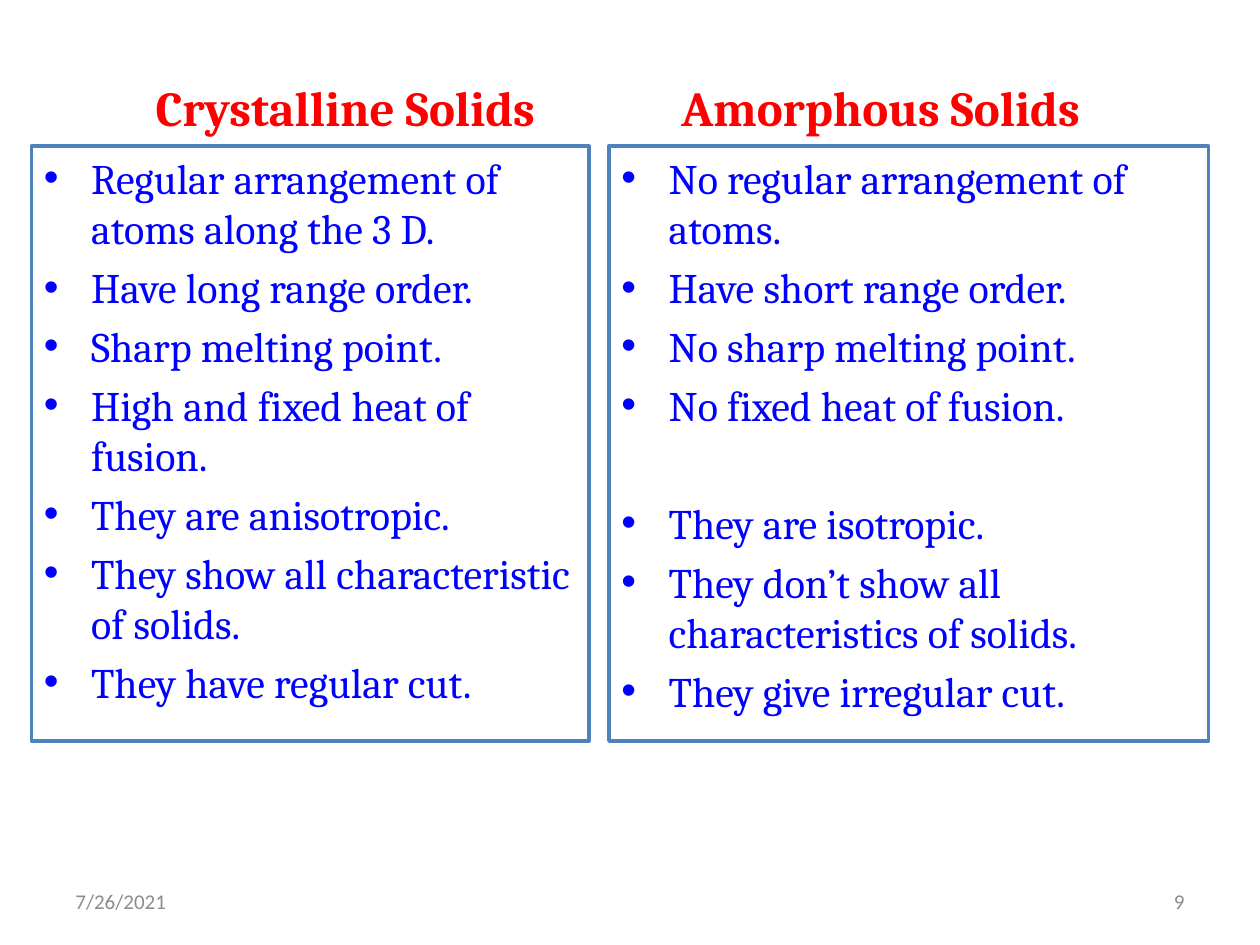
import pptx
import pptx.util
import pptx.dml.color
import pptx.enum.shapes
import pptx.enum.text
import pptx.oxml.xmlchemy

Pt = pptx.util.Pt
Align = pptx.enum.text.PP_ALIGN
Anchor = pptx.enum.text.MSO_ANCHOR

THEME = {
    "heading": {"font": "Cambria", "size": 28, "color": "FF0000", "bold": True},
    "body": {"font": "Cambria", "size": 24, "color": "0000FF", "bold": False},
    "footer": {"font": "Calibri", "size": 12, "color": "8C8C8C", "bold": False},
    "panel_fill": "FFFFFF",
    "panel_line": "4F81BD",
    "panel_line_width": 2,
}

COLUMNS = [
    {
        "heading": "Crystalline Solids",
        "heading_left": 55.5, "heading_width": 283.5,
        "left": 18, "width": 318.5,
        "points": [
            "Regular arrangement of atoms along the 3 D.",
            "Have long range order.",
            "Sharp melting point.",
            "High and fixed heat of fusion.",
            "They are anisotropic.",
            "They show all characteristic of solids.",
            "They have regular cut.",
        ],
        "gap_before": None,
    },
    {
        "heading": "Amorphous Solids",
        "heading_left": 358.5, "heading_width": 289.5,
        "left": 348, "width": 342.5,
        "points": [
            "No regular arrangement of atoms.",
            "Have short range order.",
            "No sharp melting point.",
            "No fixed heat of fusion.",
            "They are isotropic.",
            "They don’t show all characteristics of solids.",
            "They give irregular cut.",
        ],
        "gap_before": "They are isotropic.",
    },
]
FOOTERS = [("7/26/2021", 36, Align.LEFT), ("9", 516, Align.RIGHT)]

HEADING_TOP, HEADING_HEIGHT = 41, 37
PANEL_TOP, PANEL_HEIGHT = 83.5, 340
FOOTER_TOP, FOOTER_WIDTH, FOOTER_HEIGHT = 500.5, 168, 28.75
BULLET_INDENT = 27
POINT_SPACE = 4.8
SKIPPED_LINE = 34


def rgb(value):
    return pptx.dml.color.RGBColor.from_string(value)


def style(paragraph, role):
    look = THEME[role]
    for run in paragraph.runs:
        run.font.name = look["font"]
        run.font.size = Pt(look["size"])
        run.font.bold = look["bold"]
        run.font.color.rgb = rgb(look["color"])


def add_label(slide, text, left, top, width, height, role, align, anchor):
    shape = slide.shapes.add_textbox(Pt(left), Pt(top), Pt(width), Pt(height))
    text_frame = shape.text_frame
    text_frame.word_wrap = True
    text_frame.vertical_anchor = anchor
    text_frame.text = text
    paragraph = text_frame.paragraphs[0]
    paragraph.alignment = align
    style(paragraph, role)


def add_bullet(paragraph):
    properties = paragraph._p.get_or_add_pPr()
    properties.set("marL", str(int(Pt(BULLET_INDENT))))
    properties.set("indent", str(-int(Pt(BULLET_INDENT))))
    for tag, name, value in (("a:buFont", "typeface", "Arial"), ("a:buChar", "char", "•")):
        element = pptx.oxml.xmlchemy.OxmlElement(tag)
        element.set(name, value)
        properties.append(element)


def add_panel(slide, column):
    shape = slide.shapes.add_shape(
        pptx.enum.shapes.MSO_SHAPE.RECTANGLE,
        Pt(column["left"]), Pt(PANEL_TOP), Pt(column["width"]), Pt(PANEL_HEIGHT),
    )
    shape.shadow.inherit = False
    shape.fill.solid()
    shape.fill.fore_color.rgb = rgb(THEME["panel_fill"])
    shape.line.color.rgb = rgb(THEME["panel_line"])
    shape.line.width = Pt(THEME["panel_line_width"])
    text_frame = shape.text_frame
    text_frame.word_wrap = True
    text_frame.vertical_anchor = Anchor.TOP
    text_frame.text = "\n".join(column["points"])
    for index, paragraph in enumerate(text_frame.paragraphs):
        add_bullet(paragraph)
        paragraph.alignment = Align.LEFT
        if index:
            skipped = SKIPPED_LINE if paragraph.text == column["gap_before"] else 0
            paragraph.space_before = Pt(POINT_SPACE + skipped)
        style(paragraph, "body")


def main():
    presentation = pptx.Presentation()
    presentation.slide_width, presentation.slide_height = Pt(720), Pt(540)
    slide = presentation.slides.add_slide(presentation.slide_layouts[6])
    for column in COLUMNS:
        add_label(slide, column["heading"], column["heading_left"], HEADING_TOP,
                  column["heading_width"], HEADING_HEIGHT, "heading", Align.CENTER, Anchor.TOP)
        add_panel(slide, column)
    for text, left, align in FOOTERS:
        add_label(slide, text, left, FOOTER_TOP, FOOTER_WIDTH, FOOTER_HEIGHT,
                  "footer", align, Anchor.MIDDLE)
    presentation.save("out.pptx")


if __name__ == "__main__":
    main()
